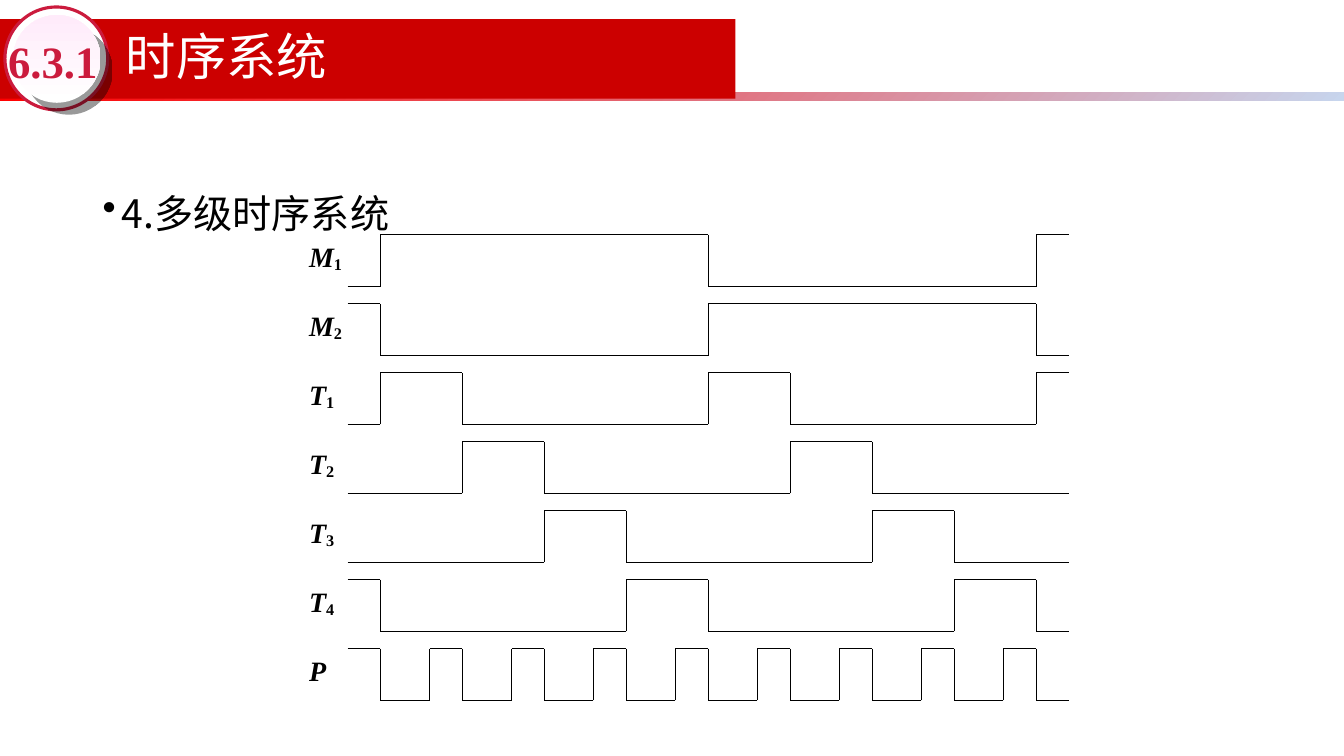
"""Draw the multi-level timing slide, with lengths in percent of its size."""
from dataclasses import dataclass
from itertools import pairwise

from lxml.etree import SubElement
from pptx import Presentation
from pptx.dml.color import RGBColor
from pptx.enum.shapes import MSO_CONNECTOR, MSO_SHAPE
from pptx.enum.text import MSO_ANCHOR, PP_ALIGN
from pptx.oxml.ns import qn
from pptx.util import Emu, Inches, Pt

HUES = {
    "black": "000000", "white": "FFFFFF", "red": "CC0000", "bright": "FF0000",
    "sky": "C7D5ED", "rose": "CB1B3D", "blush": "FFEBFA",
}
SANS, SERIF = "Noto Sans CJK SC", "Times New Roman"
WIDE, HIGH = Inches(13.34), Inches(7.5)
LEFT, TOP = 25.86, 31.07
COL, ROW = 1.22, 2.28
LAST, PITCH, SWING = 44, 4, 3


@dataclass
class Box:
    left: float
    top: float
    width: float
    height: float

    def place(self) -> tuple:
        return (across(self.left), down(self.top),
                across(self.width), down(self.height))


@dataclass
class Plate:
    form: MSO_SHAPE
    box: Box
    fills: tuple
    angle: int = 0
    edge: str = ""
    shade: bool = False


@dataclass
class Wave:
    name: str
    index: str
    start: int
    flips: list


@dataclass
class Label:
    box: Box
    texts: list
    font: dict
    face: str
    hue: str
    frame: dict
    para: dict
    bullet: str = ""


PLATES = [
    Plate(MSO_SHAPE.RECTANGLE, Box(0, 12.27, 100, 1.07), ("bright", "sky"), 315),
    Plate(MSO_SHAPE.RECTANGLE, Box(0, 2.53, 54.72, 10.53), ("red",)),
    Plate(MSO_SHAPE.OVAL, Box(0.37, 0.93, 7.65, 13.6), ("white",), edge="rose"),
    Plate(MSO_SHAPE.OVAL, Box(0.97, 2, 6.52, 11.6), ("white", "blush"), 90, shade=True),
]
MIDDLE = {"vertical_anchor": MSO_ANCHOR.MIDDLE}
FLUSH = dict.fromkeys(("margin_left", "margin_right", "margin_top", "margin_bottom"), 0)
LABELS = [
    Label(Box(6.9, 18.13, 86.21, 72.53), ["4.多级时序系统"], {"size": Pt(28)}, SANS,
          "black", {}, {"alignment": PP_ALIGN.JUSTIFY, "line_spacing": 2.0}, "•"),
    Label(Box(8.62, 2.4, 55.77, 10.93), ["时序系统"], {"size": Pt(36)}, SANS,
          "white", MIDDLE, {"line_spacing": 0.9}),
    Label(Box(0.6, 4.4, 6.97, 7.2), ["6.3.1"], {"size": Pt(32), "bold": True}, SERIF,
          "rose", MIDDLE | FLUSH, {}),
]
WAVES = [
    Wave("M", "1", 0, [2, 22, 42]),
    Wave("M", "2", 1, [2, 22, 42]),
    Wave("T", "1", 0, [2, 7, 22, 27, 42]),
    Wave("T", "2", 0, [7, 12, 27, 32]),
    Wave("T", "3", 0, [12, 17, 32, 37]),
    Wave("T", "4", 1, [2, 17, 22, 37, 42]),
    Wave("P", "", 1, [2] + [tick for base in range(2, 42, 5) for tick in (base + 3, base + 5)]),
]


def across(share: float) -> Emu:
    return Emu(round(WIDE * share / 100))


def down(share: float) -> Emu:
    return Emu(round(HIGH * share / 100))


def paint(name: str) -> RGBColor:
    return RGBColor.from_string(HUES[name])


def apply(target: object, values: dict) -> None:
    for key, value in values.items():
        setattr(target, key, value)


def shade(shape) -> None:
    effects = shape._element.spPr.find(qn("a:effectLst"))
    outer = SubElement(effects, qn("a:outerShdw"), blurRad="0", dist=str(Pt(12.1)),
                       dir="2700000", algn="ctr", rotWithShape="0")
    tint = SubElement(outer, qn("a:srgbClr"), val=HUES["black"])
    SubElement(tint, qn("a:alpha"), val="40000")


def draw_plate(shapes, plate: Plate) -> None:
    shape = shapes.add_shape(plate.form, *plate.box.place())
    shape.shadow.inherit = False
    if len(plate.fills) > 1:
        shape.fill.gradient()
        shape.fill.gradient_angle = plate.angle
        for stop, hue in zip(shape.fill.gradient_stops, plate.fills):
            stop.color.rgb = paint(hue)
    else:
        shape.fill.solid()
        shape.fill.fore_color.rgb = paint(plate.fills[0])
    if plate.edge:
        shape.line.color.rgb = paint(plate.edge)
        shape.line.width = Pt(2.25)
    else:
        shape.line.fill.background()
    if plate.shade:
        shade(shape)


def draw_label(shapes, label: Label) -> None:
    frame = shapes.add_textbox(*label.box.place()).text_frame
    apply(frame, {"word_wrap": True} | label.frame)
    para = frame.paragraphs[0]
    apply(para, label.para)
    if label.bullet:
        props = para._p.get_or_add_pPr()
        apply_indent = {"marL": Inches(0.19), "indent": -Inches(0.19)}
        for key, value in apply_indent.items():
            props.set(key, str(value))
        SubElement(SubElement(props, qn("a:buClr")), qn("a:srgbClr"), val=HUES[label.hue])
        SubElement(props, qn("a:buChar"), char=label.bullet)
    for place, text in enumerate(label.texts):
        run = para.add_run()
        run.text = text
        apply(run.font, label.font | {"name": label.face})
        run.font.color.rgb = paint(label.hue)
        props = run._r.get_or_add_rPr()
        SubElement(props, qn("a:ea"), typeface=label.face)
        if place:
            run.font.italic = False
            props.set("baseline", "-10000")


def draw_wave(shapes, row: int, wave: Wave) -> None:
    level, points = wave.start, []
    for tick in [0, *wave.flips, LAST]:
        points.append((tick, level))
        if tick in wave.flips:
            level = 1 - level
            points.append((tick, level))
    spots = [(across(LEFT + tick * COL),
              down(TOP + (row * PITCH + SWING * (1 - level)) * ROW))
             for tick, level in points]
    for start, end in pairwise(spots):
        line = shapes.add_connector(MSO_CONNECTOR.STRAIGHT, *start, *end)
        line.line.color.rgb = paint("black")
        line.line.width = Pt(0.75)
        SubElement(line._element.spPr, qn("a:effectLst"))
    box = Box(22.26, TOP + row * PITCH * ROW, 6 * COL, 5.87)
    texts = [text for text in (wave.name, wave.index) if text]
    font = {"size": Pt(20), "bold": True, "italic": True}
    draw_label(shapes, Label(box, texts, font, SERIF, "black", {}, {}))


def main() -> None:
    deck = Presentation()
    apply(deck, {"slide_width": WIDE, "slide_height": HIGH})
    shapes = deck.slides.add_slide(deck.slide_layouts[6]).shapes
    for plate in PLATES:
        draw_plate(shapes, plate)
    for label in LABELS:
        draw_label(shapes, label)
    chart = shapes.add_group_shape().shapes
    for row, wave in enumerate(WAVES):
        draw_wave(chart, row, wave)
    deck.save("out.pptx")


if __name__ == "__main__":
    main()
